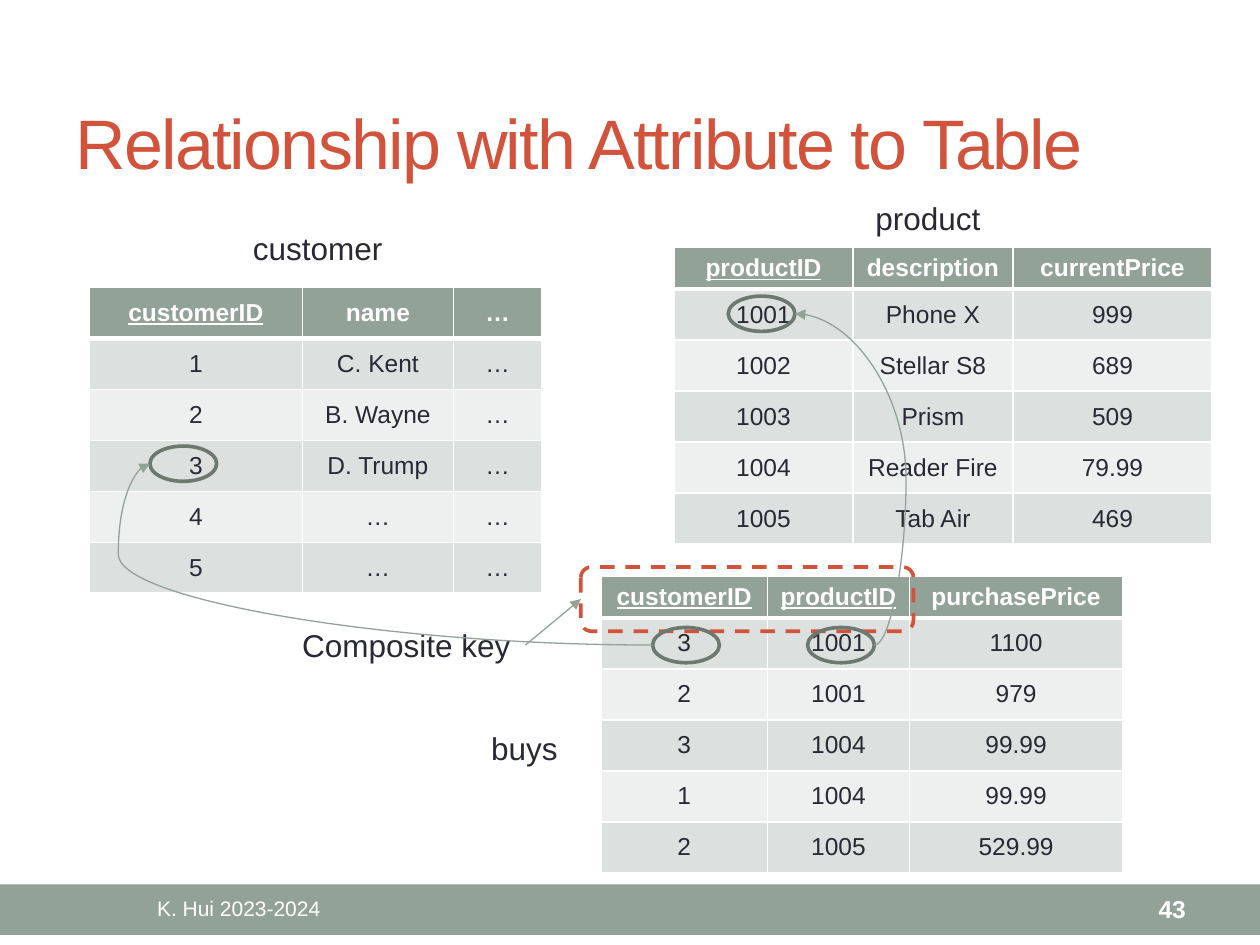
from dataclasses import dataclass

import lxml.etree
import pptx
import pptx.dml.color
import pptx.enum.dml
import pptx.enum.shapes
import pptx.enum.text
import pptx.oxml.ns
import pptx.util

qn = pptx.oxml.ns.qn
ALIGN = pptx.enum.text.PP_ALIGN
ANCHOR = pptx.enum.text.MSO_ANCHOR
SHAPE = pptx.enum.shapes.MSO_SHAPE
CONNECTOR = pptx.enum.shapes.MSO_CONNECTOR

SLIDE_WIDTH, SLIDE_HEIGHT = pptx.util.Inches(10), pptx.util.Inches(7.5)
COLUMNS, ROWS = 100, 75
SAGE, SAGE_DARK, INK, WHITE, RED = "93A299", "6D7871", "292934", "FFFFFF", "D2533C"
BANDS = ("DCE0DE", "EEF0EF")
BODY_ROW = 4.05
RING_WIDTH, RING_HEIGHT = 5.3, 2.8


@dataclass(frozen=True)
class Area:
    """Rectangle in grid columns and rows."""
    left: float
    top: float
    width: float
    height: float


@dataclass(frozen=True)
class Label:
    """Text with its area and look."""
    text: str
    area: Area
    size: float = 18
    color: str = INK
    bold: bool = False
    align: ALIGN = ALIGN.LEFT
    anchor: ANCHOR = ANCHOR.TOP
    wrap: bool = False
    spacing: int = 0


@dataclass(frozen=True)
class Relation:
    """Database relation with its key columns and records."""
    left: float
    top: float
    header_row: float
    widths: tuple[float, ...]
    fields: tuple[str, ...]
    key_count: int
    records: tuple[tuple[str, ...], ...]


LABELS = (
    Label("Relationship with Attribute to Table", Area(5, 5.8, 90, 10.8), 40, RED,
          anchor=ANCHOR.MIDDLE, wrap=True, spacing=-100),
    Label("K. Hui 2023-2024", Area(5, 70.3, 27.9, 3.6), 12, WHITE,
          align=ALIGN.CENTER, anchor=ANCHOR.MIDDLE, wrap=True),
    Label("43", Area(83.4, 70.3, 11.7, 3.6), 14, WHITE, True,
          ALIGN.RIGHT, ANCHOR.MIDDLE, True),
    Label("customer", Area(19.1, 17.7, 12.4, 4)),
    Label("product", Area(68.5, 15.3, 10.4, 4)),
    Label("buys", Area(38, 57.4, 7.3, 4)),
)
COMPOSITE_KEY = Label("Composite key", Area(23, 49.2, 18.7, 4))

RELATIONS = (
    Relation(7.1, 22.8, BODY_ROW, (16.9, 12, 7), ("customerID", "name", "…"), 1, (
        ("1", "C. Kent", "…"), ("2", "B. Wayne", "…"), ("3", "D. Trump", "…"),
        ("4", "…", "…"), ("5", "…", "…"))),
    Relation(53.5, 19.6, 3.3, (14.2, 12.7, 15.8),
             ("productID", "description", "currentPrice"), 1, (
        ("1001", "Phone X", "999"), ("1002", "Stellar S8", "689"),
        ("1003", "Prism", "509"), ("1004", "Reader Fire", "79.99"),
        ("1005", "Tab Air", "469"))),
    Relation(47.7, 45.7, 3.3, (13.2, 11.3, 16.9),
             ("customerID", "productID", "purchasePrice"), 2, (
        ("3", "1001", "1100"), ("2", "1001", "979"), ("3", "1004", "99.99"),
        ("1", "1004", "99.99"), ("2", "1005", "529.99"))),
)


def across(columns: float) -> int:
    """Turn grid columns into a length."""
    return round(SLIDE_WIDTH * columns / COLUMNS)


def down(rows: float) -> int:
    """Turn grid rows into a length."""
    return round(SLIDE_HEIGHT * rows / ROWS)


def box(area: Area) -> tuple[int, int, int, int]:
    """Turn a grid area into slide lengths."""
    return across(area.left), down(area.top), across(area.width), down(area.height)


def paint(target, color: str) -> None:
    """Give a fill or line format a solid colour."""
    fill = target if hasattr(target, "solid") else target.fill
    fill.solid()
    fill.fore_color.rgb = pptx.dml.color.RGBColor.from_string(color)


def set_font(font, size: float, color: str, bold: bool) -> None:
    """Set the face, size, colour and weight of a font."""
    font.name, font.size, font.bold = "Arial", pptx.util.Pt(size), bold
    font.color.rgb = pptx.dml.color.RGBColor.from_string(color)


def draw_label(slide, label: Label):
    """Add a text box."""
    text_box = slide.shapes.add_textbox(*box(label.area))
    frame = text_box.text_frame
    frame.word_wrap, frame.vertical_anchor = label.wrap, label.anchor
    paragraph = frame.paragraphs[0]
    paragraph.text, paragraph.alignment = label.text, label.align
    set_font(paragraph.font, label.size, label.color, label.bold)
    if label.spacing:
        paragraph.runs[0].font._element.set("spc", str(label.spacing))
    return text_box


def draw_borders(cell, top: float, bottom: float) -> None:
    """Edge a cell with white lines."""
    properties = cell._tc.get_or_add_tcPr()
    edges = (("a:lnL", 1), ("a:lnR", 1), ("a:lnT", top), ("a:lnB", bottom))
    for position, (tag, width) in enumerate(edges):
        edge = lxml.etree.Element(qn(tag), w=str(pptx.util.Pt(width)))
        fill = lxml.etree.SubElement(edge, qn("a:solidFill"))
        lxml.etree.SubElement(fill, qn("a:srgbClr"), val=WHITE)
        properties.insert(position, edge)


def draw_relation(slide, relation: Relation) -> None:
    """Add a table with a header and banded records."""
    lines = (relation.fields, *relation.records)
    height = relation.header_row + BODY_ROW * len(relation.records)
    area = Area(relation.left, relation.top, sum(relation.widths), height)
    table = slide.shapes.add_table(len(lines), len(relation.fields), *box(area)).table
    for column, width in zip(table.columns, relation.widths):
        column.width = across(width)
    for row_number, values in enumerate(lines):
        header = row_number == 0
        table.rows[row_number].height = down(relation.header_row if header else BODY_ROW)
        for column_number, value in enumerate(values):
            cell = table.cell(row_number, column_number)
            cell.vertical_anchor = ANCHOR.MIDDLE
            paint(cell.fill, SAGE if header else BANDS[(row_number - 1) % 2])
            draw_borders(cell, 3 if row_number == 1 else 1, 3 if header else 1)
            paragraph = cell.text_frame.paragraphs[0]
            paragraph.text, paragraph.alignment = value, ALIGN.CENTER
            set_font(paragraph.font, 14, WHITE if header else INK, header)
            paragraph.font.underline = header and column_number < relation.key_count


def draw_outline(slide, kind: SHAPE, area: Area, color: str):
    """Add an unfilled shape with a coloured outline."""
    outline = slide.shapes.add_shape(kind, *box(area))
    outline.shadow.inherit = False
    outline.fill.background()
    paint(outline.line, color)
    outline.line.width = pptx.util.Pt(2.08)
    return outline


def draw_ring(slide, left: float, top: float) -> Area:
    """Circle a key value and return its area."""
    area = Area(left, top, RING_WIDTH, RING_HEIGHT)
    draw_outline(slide, SHAPE.OVAL, area, SAGE_DARK)
    return area


def draw_arrow(slide, kind: CONNECTOR, start: tuple[float, float],
               end: tuple[float, float], bend: int = 0):
    """Add an arrow, bent by thousandths of a percent when curved."""
    arrow = slide.shapes.add_connector(
        kind, across(start[0]), down(start[1]), across(end[0]), down(end[1]))
    paint(arrow.line, SAGE)
    arrow.line.width = pptx.util.Pt(0.75)
    lxml.etree.SubElement(arrow.line._get_or_add_ln(), qn("a:tailEnd"), type="triangle")
    properties = arrow._element.spPr
    lxml.etree.SubElement(properties, qn("a:effectLst"))
    if bend:
        guides = properties.find(qn("a:prstGeom")).find(qn("a:avLst"))
        lxml.etree.SubElement(guides, qn("a:gd"), name="adj1", fmla=f"val {bend}")
    return arrow


def link_rings(slide, source: Area, target: Area, side: int, bend: int) -> None:
    """Join two rings on their left (0) or right (1) sides."""
    start, end = ((ring.left + side * ring.width, ring.top + ring.height / 2)
                  for ring in (source, target))
    draw_arrow(slide, CONNECTOR.CURVE, start, end, bend)


def main() -> None:
    """Build and save the slide."""
    deck = pptx.Presentation()
    deck.slide_width, deck.slide_height = SLIDE_WIDTH, SLIDE_HEIGHT
    slide = deck.slides.add_slide(deck.slide_layouts[6])

    footer = slide.shapes.add_shape(SHAPE.RECTANGLE, *box(Area(0, 70.2, COLUMNS, 4)))
    footer.shadow.inherit = False
    paint(footer.fill, SAGE)
    footer.line.fill.background()

    for label in LABELS:
        draw_label(slide, label)
    for relation in RELATIONS:
        draw_relation(slide, relation)

    key_frame = draw_outline(slide, SHAPE.ROUNDED_RECTANGLE, Area(46.1, 45, 26.4, 5.1), RED)
    key_frame.line.dash_style = pptx.enum.dml.MSO_LINE.DASH
    key_label = draw_label(slide, COMPOSITE_KEY)
    pointer = draw_arrow(slide, CONNECTOR.STRAIGHT, (41.7, 51.2), (46.1, 47.6))
    pointer.begin_connect(key_label, 3)
    pointer.end_connect(key_frame, 1)

    customer, buyer = draw_ring(slide, 11.9, 35.4), draw_ring(slide, 51.8, 49.8)
    link_rings(slide, buyer, customer, 0, 106300)
    product, bought = draw_ring(slide, 57.8, 23.5), draw_ring(slide, 64.1, 49.8)
    link_rings(slide, bought, product, 1, -40000)

    deck.save("out.pptx")


if __name__ == "__main__":
    main()
